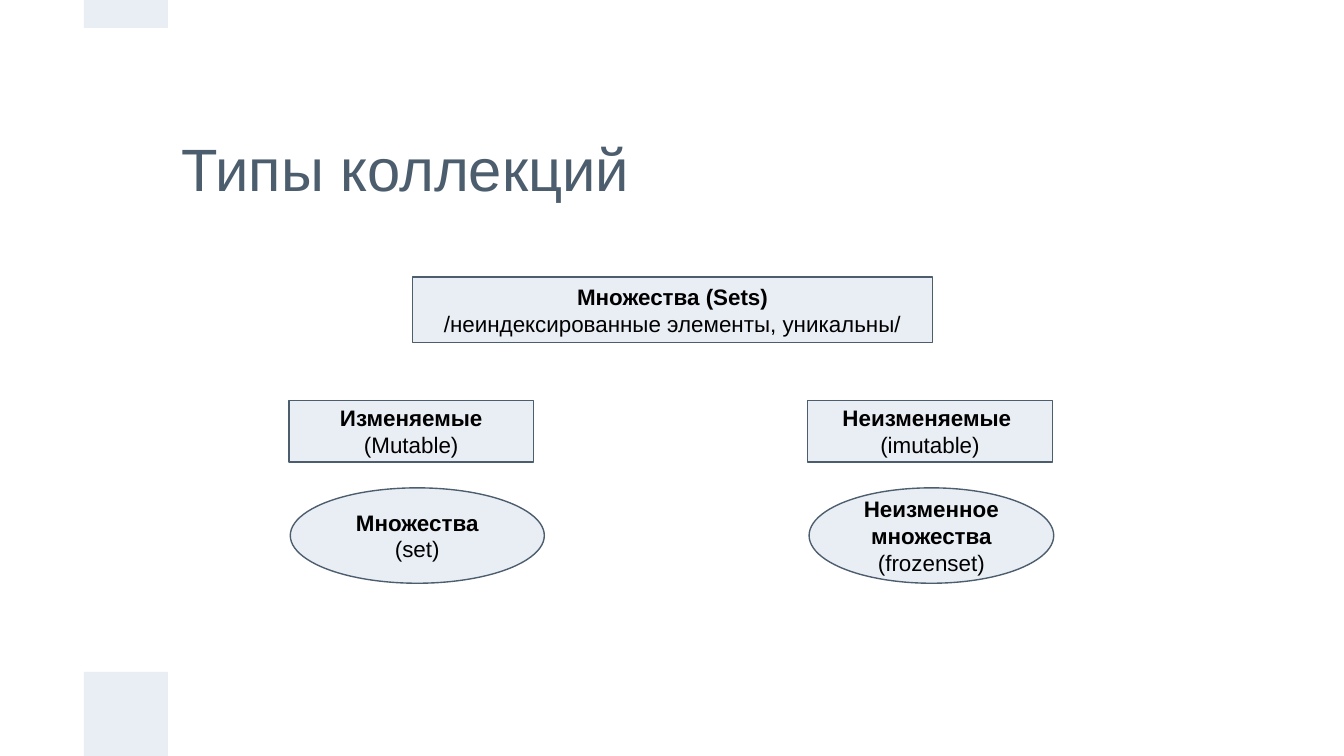
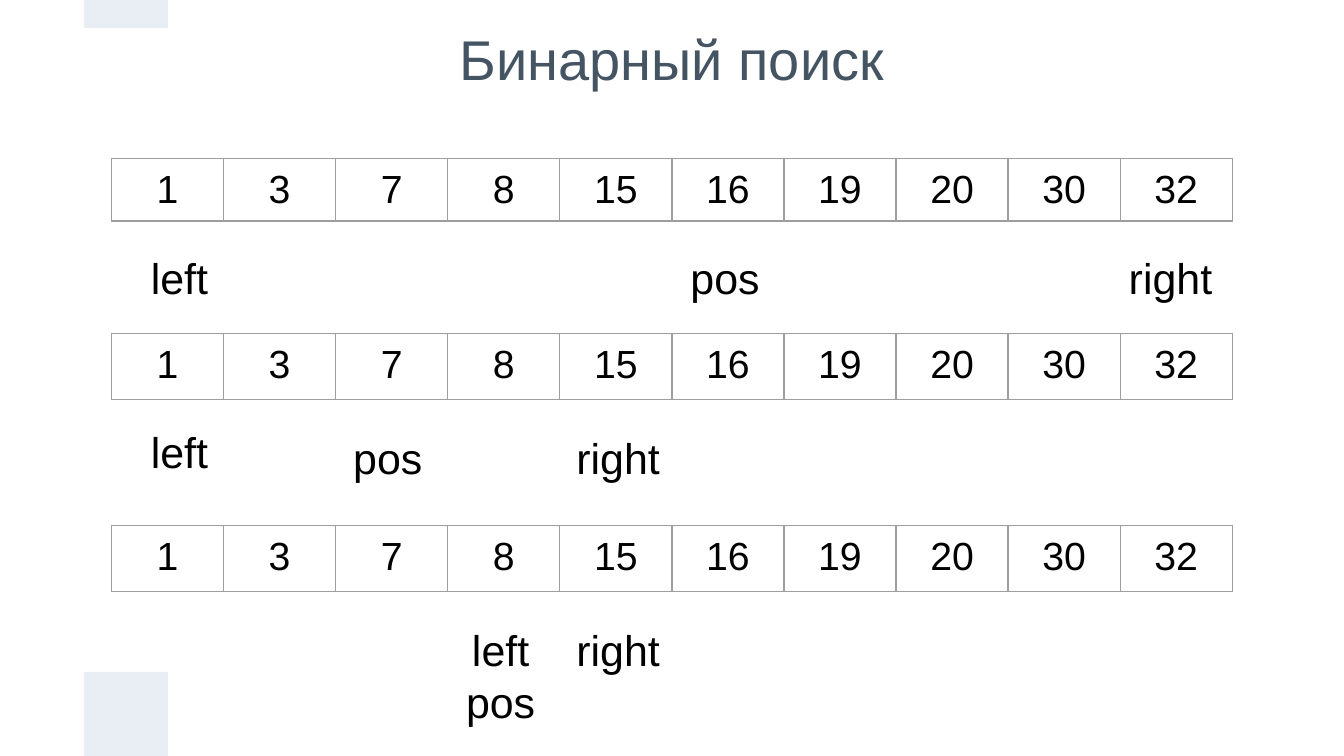
from lxml import etree
from pptx import Presentation
from pptx.dml.color import RGBColor
from pptx.enum.shapes import MSO_SHAPE as SHAPE
from pptx.enum.text import MSO_ANCHOR as ANCHOR, MSO_AUTO_SIZE as AUTO, PP_ALIGN as ALIGN
from pptx.oxml.ns import qn
from pptx.util import Inches, Pt

FONT = "Arial"
PALE, SLATE, TITLE_DARK, BLACK, GRID = "E9EDF4", "4C5D6E", "455462", "000000", "9E9E9E"
TITLE_ONLY = 5
WIDTH = 10
HEIGHT = WIDTH * 9 / 16
BAND = WIDTH / 16

# shape, box (left, top, width, height), bold name, plain note
SET_NODES = [
    (SHAPE.RECTANGLE, (3.07, 2.06, 3.87, 0.49), "Множества (Sets)",
     "/неиндексированные элементы, уникальны/"),
    (SHAPE.RECTANGLE, (2.15, 2.98, 1.82, 0.46), "Изменяемые", "(Mutable)"),
    (SHAPE.RECTANGLE, (6.01, 2.98, 1.82, 0.46), "Неизменяемые ", "(imutable)"),
    (SHAPE.OVAL, (2.16, 3.63, 1.89, 0.71), "Множества", "(set)"),
    (SHAPE.OVAL, (6.02, 3.63, 1.82, 0.71), "Неизменное множества", "(frozenset)"),
]

NUMBERS = [1, 3, 7, 8, 15, 16, 19, 20, 30, 32]
MARKER_WIDTH = {"left": 0.69, "pos": 0.69, "right": 0.86}
# top of the array, then markers: text, left, distance below that top
SEARCH_STEPS = [
    (1.18, [("left", 0.99, 0.61), ("right", 8.28, 0.61), ("pos", 5.05, 0.61)]),
    (2.48, [("left", 0.99, 0.61), ("right", 4.17, 0.65), ("pos", 2.54, 0.65)]),
    (3.91, [("left", 3.38, 0.65), ("right", 4.17, 0.65), ("pos", 3.38, 1.04)]),
]


def rgb(color):
    return RGBColor.from_string(color)


def inches(box):
    return [Inches(v) for v in box]


def set_font(p, size, color, bold=False):
    p.font.name, p.font.size, p.font.bold = FONT, Pt(size), bold
    p.font.color.rgb = rgb(color)


def set_margins(target, x, y):
    target.margin_left = target.margin_right = Inches(x)
    target.margin_top = target.margin_bottom = Inches(y)


def add_filled(s, kind, box, line=None):
    sp = s.shapes.add_shape(kind, *inches(box))
    sp.shadow.inherit = False
    sp.fill.solid()
    sp.fill.fore_color.rgb = rgb(PALE)
    if line:
        sp.line.color.rgb = rgb(line)
        sp.line.width = Pt(0.75)
    else:
        sp.line.fill.background()
    return sp


def add_master_bands(prs, s):
    """Build the side bands on a slide and move them to the master, behind its text."""
    tree = prs.slide_master.shapes._spTree
    for i, (top, height) in enumerate(((HEIGHT - BAND, BAND), (0, BAND / 3))):
        sp = add_filled(s, SHAPE.RECTANGLE, (BAND, top, BAND, height))
        tree.insert(2 + i, sp._element)


def add_slide(prs, title, box, size, color, align, margins, spacing=1.0):
    s = prs.slides.add_slide(prs.slide_layouts[TITLE_ONLY])
    sp = s.shapes.title
    sp.left, sp.top, sp.width, sp.height = inches(box)
    tf = sp.text_frame
    tf.text = title
    tf.auto_size, tf.vertical_anchor = AUTO.NONE, ANCHOR.MIDDLE
    set_margins(tf, *margins)
    p = tf.paragraphs[0]
    p.alignment, p.line_spacing = align, spacing
    set_font(p, size, color)
    return s


def add_node(s, kind, box, name, note):
    tf = add_filled(s, kind, box, SLATE).text_frame
    tf.word_wrap, tf.vertical_anchor = True, ANCHOR.MIDDLE
    set_margins(tf, 0.1, 0.1)
    tf.text = f"{name}\n{note}"
    for p, bold in zip(tf.paragraphs, (True, False)):
        p.alignment = ALIGN.CENTER
        set_font(p, 12, BLACK, bold)


def set_borders(cell):
    props = cell._tc.get_or_add_tcPr()
    for i, side in enumerate(("lnL", "lnR", "lnT", "lnB")):
        ln = etree.Element(qn(f"a:{side}"), w=str(Pt(0.75)))
        fill = etree.SubElement(ln, qn("a:solidFill"))
        etree.SubElement(fill, qn("a:srgbClr"), val=GRID)
        props.insert(i, ln)


def add_array(s, left, top, width, height):
    table = s.shapes.add_table(1, len(NUMBERS), *inches((left, top, width, height))).table
    table.first_row = table.horz_banding = False
    for cell, number in zip(table.rows[0].cells, NUMBERS):
        cell.text = str(number)
        cell.fill.background()
        set_margins(cell, 0.08, 0.07)
        set_borders(cell)
        p = cell.text_frame.paragraphs[0]
        p.alignment = ALIGN.CENTER
        set_font(p, 21, BLACK)


def add_marker(s, text, left, top):
    box = (left, top, MARKER_WIDTH[text], 0.5)
    tf = s.shapes.add_textbox(*inches(box)).text_frame
    tf.word_wrap = True
    set_margins(tf, 0.08, 0.08)
    tf.text = text
    p = tf.paragraphs[0]
    p.alignment = ALIGN.CENTER
    set_font(p, 23, BLACK)


def collections_slide(prs):
    s = add_slide(prs, "Типы коллекций", (1.25, 0.62, 7.5, 1.25), 32, SLATE,
                  ALIGN.LEFT, (0.1, 0.1))
    for node in SET_NODES:
        add_node(s, *node)
    return s


def search_slide(prs):
    s = add_slide(prs, "Бинарный поиск", (0, 0.11, 10, 0.71), 30, TITLE_DARK,
                  ALIGN.CENTER, (0.08, 0.04), 0.9)
    for top, markers in SEARCH_STEPS:
        add_array(s, 0.83, top, 8.34, 0.3)
        for text, left, drop in markers:
            add_marker(s, text, left, top + drop)


def main():
    prs = Presentation()
    prs.slide_width, prs.slide_height = Inches(WIDTH), Inches(HEIGHT)
    s = collections_slide(prs)
    add_master_bands(prs, s)
    search_slide(prs)
    prs.save("out.pptx")


if __name__ == "__main__":
    main()
